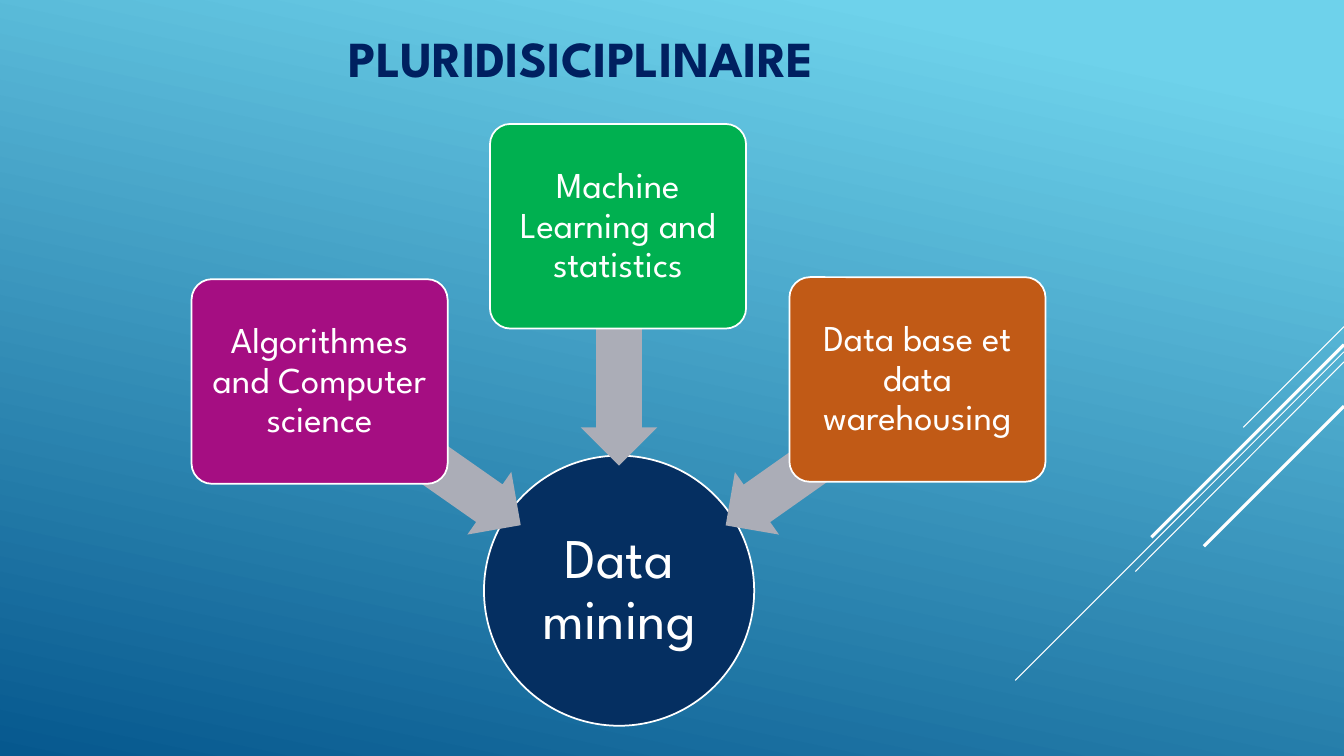
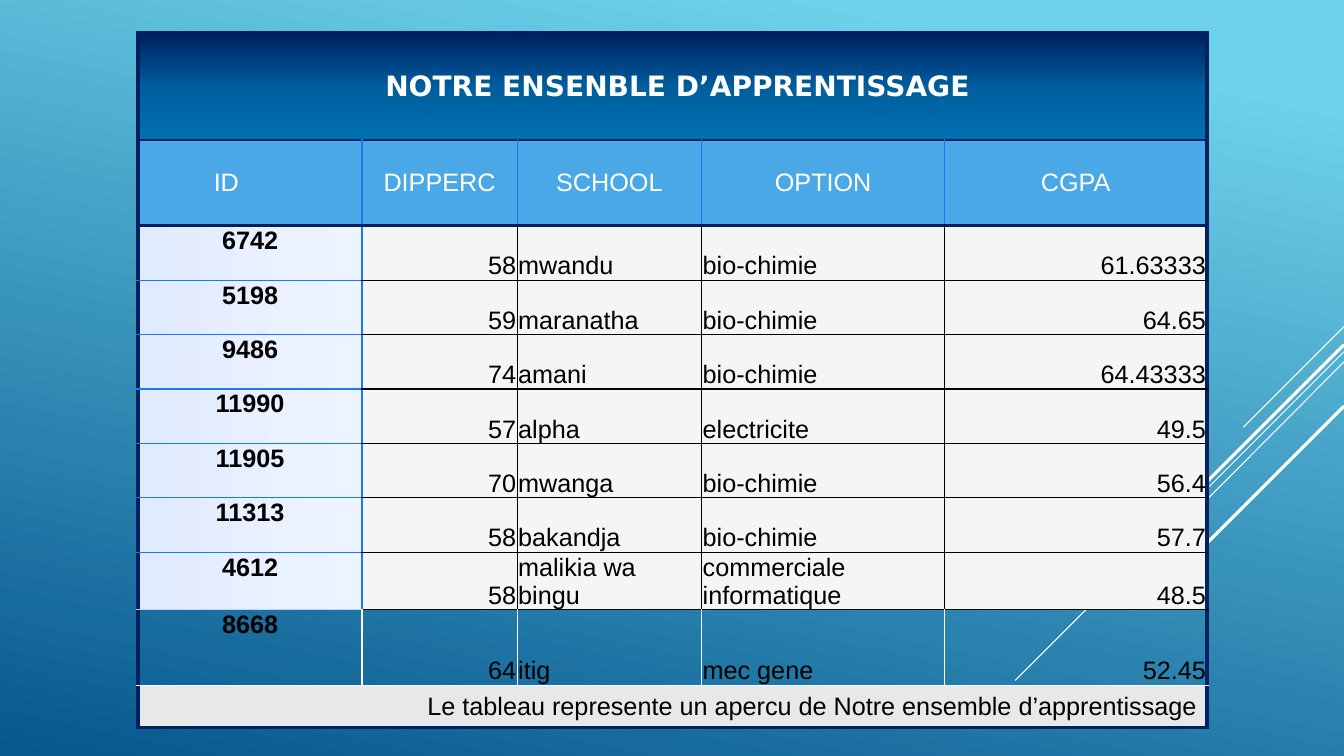
from copy import deepcopy
from lxml.etree import SubElement
from pptx import Presentation
from pptx.dml.color import RGBColor
from pptx.enum.shapes import MSO_CONNECTOR, MSO_SHAPE
from pptx.enum.text import MSO_ANCHOR as ANCHOR, MSO_AUTO_SIZE, PP_ALIGN as ALIGN
from pptx.oxml.ns import qn
from pptx.util import Inches, Pt

COLORS = {
    "sky": "6ED2EB", "ocean": "06588E", "white": "FFFFFF", "black": "000000",
    "navy": "002060", "deep": "052F61", "gray": "ABADB7", "purple": "A50E82",
    "green": "00B050", "orange": "C15A16", "blue": "167BF3", "pale": "BDD3FF",
    "header": "4AA8E7", "body": "F5F5F5", "caption": "E7E8EA",
    "mid": "00609F", "bright": "0071B0", "ice": "E1EBFF", "frost": "EEF4FF",
}
DISPLAY, BODY = "League Spartan", "Arial"

RAYS = [
    (3.24, 12.33, 4.24, 0.75), (3.49, 10.07, 6.75, 0.75),
    (3.59, 11.26, 5.67, 0.75), (3.42, 11.42, 5.33, 2.25),
    (4.03, 11.94, 5.42, 2.25),
]

FIELDS = [
    ("Algorithmes and Computer science", "purple", (0, 1.54), (1.3, 2.98), 215),
    ("Machine Learning and statistics", "green", (2.96, 0), (3.16, 1.93), 270),
    ("Data base et data warehousing", "orange", (5.93, 1.52), (5.1, 2.98), 324.8),
]

COL_WIDTHS = [2.22, 1.54, 1.83, 2.41, 2.6]
ROW_HEIGHTS = [1.06, 0.85] + [0.54] * 7 + [0.75, 0.42]
ROWS = [
    ["NOTRE ENSENBLE D’APPRENTISSAGE"],
    ["ID", "DIPPERC", "SCHOOL", "OPTION", "CGPA"],
    ["6742", "58", "mwandu", "bio-chimie", "61.63333"],
    ["5198", "59", "maranatha", "bio-chimie", "64.65"],
    ["9486", "74", "amani", "bio-chimie", "64.43333"],
    ["11990", "57", "alpha", "electricite", "49.5"],
    ["11905", "70", "mwanga", "bio-chimie", "56.4"],
    ["11313", "58", "bakandja", "bio-chimie", "57.7"],
    ["4612", "58", "malikia wa bingu", "commerciale informatique", "48.5"],
    ["8668", "64", "itig", "mec gene", "52.45"],
    ["Le tableau represente un apercu de Notre ensemble d’apprentissage"],
]
LAST_ROW, LAST_COL = len(ROWS) - 1, len(COL_WIDTHS) - 1
DATA_ALIGN = [ALIGN.CENTER, ALIGN.RIGHT, ALIGN.LEFT, ALIGN.LEFT, ALIGN.RIGHT]
DATA_MARGINS = (0.01, 0.01, 0.01, 0)


def rgb(name):
    """Return the named colour."""
    return RGBColor.from_string(COLORS[name])


def set_attrs(obj, values):
    """Set each attribute in the dict on the object."""
    for name, value in values.items():
        setattr(obj, name, value)


def margins(left, top, right, bottom):
    """Return the margin attributes for four lengths in inches."""
    sides = zip(("left", "top", "right", "bottom"), (left, top, right, bottom))
    return {f"margin_{side}": Inches(size) for side, size in sides}


def write(tf, text, color, align, spacing=None, **font):
    """Write one formatted paragraph into a text frame."""
    p = tf.paragraphs[0]
    set_attrs(p, {"alignment": align, "line_spacing": spacing})
    r = p.add_run()
    r.text = text
    set_attrs(r.font, font)
    r.font.color.rgb = rgb(color)


def paint_gradient(fill, owner, stops, angle):
    """Fill with a linear gradient whose angle runs clockwise."""
    fill.gradient()
    fill.gradient_angle = -angle % 360
    gs_list = owner.find(".//" + qn("a:gsLst"))
    for _ in stops[2:]:
        gs_list.append(deepcopy(gs_list[-1]))
    for stop, (position, color) in zip(fill.gradient_stops, stops):
        stop.position = position
        stop.color.rgb = rgb(color)


def add_rays(slide):
    """Draw the diagonal lines at the right edge."""
    for y1, x2, y2, width in RAYS:
        ends = [Inches(v) for v in (13.33, y1, x2, y2)]
        ray = slide.shapes.add_connector(MSO_CONNECTOR.STRAIGHT, *ends)
        ray.line.color.rgb = rgb("white")
        ray.line.width = Pt(width)
        SubElement(ray._element.spPr, qn("a:effectLst"))


def add_title(slide, text, left, top, width, height):
    """Place and format the slide title."""
    sp = slide.shapes.title
    box = zip(("left", "top", "width", "height"), (left, top, width, height))
    set_attrs(sp, {name: Inches(size) for name, size in box})
    set_attrs(sp.text_frame, {"vertical_anchor": ANCHOR.TOP, "word_wrap": True,
                              "auto_size": MSO_AUTO_SIZE.NONE})
    write(sp.text_frame, text, "navy", ALIGN.LEFT,
          name=DISPLAY, size=Pt(36), bold=True)


def add_block(slide, kind, box, color, adjustments=(), outlined=True):
    """Add a flat filled shape, outlined in white on request."""
    sp = slide.shapes.add_shape(kind, *[Inches(v) for v in box])
    sp.shadow.inherit = False
    sp.fill.solid()
    sp.fill.fore_color.rgb = rgb(color)
    for i, value in enumerate(adjustments):
        sp.adjustments[i] = value
    if outlined:
        sp.line.color.rgb = rgb("white")
        sp.line.width = Pt(1.25)
    else:
        sp.line.fill.background()
    return sp


def label(sp, text, size, inset):
    """Centre a white label in a shape."""
    set_attrs(sp.text_frame, {"word_wrap": True, "vertical_anchor": ANCHOR.MIDDLE,
                              **margins(*[inset] * 4)})
    write(sp.text_frame, text, "white", ALIGN.CENTER, 0.9,
          name=DISPLAY, size=Pt(size))


def add_diagram(slide, left, top):
    """Draw the fields that point to the central circle."""
    hub = add_block(slide, MSO_SHAPE.OVAL,
                    (left + 2.9, top + 3.29, 2.68, 2.68), "deep")
    label(hub, "Data mining", 40, 0.03)
    for text, color, (x, y), (arrow_x, arrow_y), angle in FIELDS:
        arrow = add_block(slide, MSO_SHAPE.LEFT_ARROW,
                          (left + arrow_x, top + arrow_y, 2.16, 0.76),
                          "gray", (0.6, 0.5), outlined=False)
        arrow.rotation = angle
        field = add_block(slide, MSO_SHAPE.ROUNDED_RECTANGLE,
                          (left + x, top + y, 2.54, 2.03), color, (0.1,))
        label(field, text, 26, 0.05)


def horizontal_edge(line, col):
    """Return colour and width of a horizontal grid line."""
    if line in (0, LAST_ROW + 1):
        return "navy", 3
    if line in (1, 2):
        return "navy", 2.25
    if line == LAST_ROW:
        return "white", 1
    if col == 0:
        return ("pale" if line == LAST_ROW - 1 else "blue"), 1
    return "black", 1


def vertical_edge(row, line):
    """Return colour and width of a vertical grid line."""
    if line in (0, LAST_COL + 1):
        return "navy", 3
    if row == LAST_ROW - 1:
        return "white", 1
    return ("blue" if row == 1 or line == 1 else "black"), 1


def add_borders(cell, row, col):
    """Draw the four borders of a cell."""
    end = col + (cell.span_width if cell.is_merge_origin else 1)
    edges = {"lnL": vertical_edge(row, col), "lnR": vertical_edge(row, end),
             "lnT": horizontal_edge(row, col), "lnB": horizontal_edge(row + 1, col)}
    tc_pr = cell._tc.get_or_add_tcPr()
    for tag, (color, width) in edges.items():
        ln = SubElement(tc_pr, qn(f"a:{tag}"), w=str(Pt(width)))
        solid = SubElement(ln, qn("a:solidFill"))
        SubElement(solid, qn("a:srgbClr"), val=COLORS[color])


def paint_cell(cell, row, col):
    """Fill a cell according to its row and column."""
    tc_pr = cell._tc.get_or_add_tcPr()
    if row == 0:
        paint_gradient(cell.fill, tc_pr,
                       [(0, "navy"), (0.53, "mid"), (1, "bright")], 90)
    elif row == LAST_ROW - 1:
        cell.fill.background()
    elif col == 0 and 1 < row < LAST_ROW:
        paint_gradient(cell.fill, tc_pr, [(0, "ice"), (1, "frost")], 0)
    else:
        cell.fill.solid()
        color = {1: "header", LAST_ROW: "caption"}.get(row, "body")
        cell.fill.fore_color.rgb = rgb(color)


def write_cell(cell, text, row, col):
    """Write a cell's text in the style of its row."""
    font = {"name": BODY, "size": Pt(18), "bold": False}
    color, align, anchor, inset = "black", ALIGN.RIGHT, ANCHOR.MIDDLE, (0.1, 0.05, 0.1, 0.05)
    if row == 0:
        font = {"name": "DejaVu Sans", "size": Pt(20), "bold": True}
        color, align, inset = "white", ALIGN.CENTER, (0.2, 0.05, 0.1, 0.05)
    elif row == 1:
        color, align = "white", ALIGN.CENTER
        if col == 0:
            align, inset = ALIGN.LEFT, (0.75, 0.05, 0.1, 0.05)
    elif row < LAST_ROW:
        align, inset = DATA_ALIGN[col], DATA_MARGINS
        anchor = ANCHOR.BOTTOM if col else ANCHOR.TOP
        font["bold"] = col == 0
    set_attrs(cell, {"vertical_anchor": anchor, **margins(*inset)})
    write(cell.text_frame, text, color, align, **font)


def add_training_table(slide, left, top):
    """Build the training set table."""
    size = [Inches(v) for v in (left, top, sum(COL_WIDTHS), sum(ROW_HEIGHTS))]
    table = slide.shapes.add_table(len(ROWS), len(COL_WIDTHS), *size).table
    set_attrs(table, {"first_row": False, "horz_banding": False})
    for column, width in zip(table.columns, COL_WIDTHS):
        column.width = Inches(width)
    for r, (height, texts) in enumerate(zip(ROW_HEIGHTS, ROWS)):
        table.rows[r].height = Inches(height)
        if len(texts) == 1:
            table.cell(r, 0).merge(table.cell(r, LAST_COL))
        for c, text in enumerate(texts):
            cell = table.cell(r, c)
            add_borders(cell, r, c)
            paint_cell(cell, r, c)
            write_cell(cell, text, r, c)


def build_field_slide(prs):
    """Build the slide on the fields behind data mining."""
    slide = prs.slides.add_slide(prs.slide_layouts[5])
    add_rays(slide)
    add_diagram(slide, 1.9, 1.23)
    add_title(slide, "PLURIDISICIPLINAIRE", 3.36, 0.22, 6, 1.01)


def build_table_slide(prs):
    """Build the slide with the training set."""
    slide = prs.slides.add_slide(prs.slide_layouts[6])
    add_rays(slide)
    add_training_table(slide, 1.37, 0.33)


def main():
    """Build and save the presentation."""
    prs = Presentation()
    set_attrs(prs, {"slide_width": Inches(13.33), "slide_height": Inches(7.5)})
    master = prs.slide_master
    paint_gradient(master.background.fill, master._element,
                   [(0.1, "sky"), (1, "ocean")], 102)
    build_field_slide(prs)
    build_table_slide(prs)
    prs.save("out.pptx")


if __name__ == "__main__":
    main()
